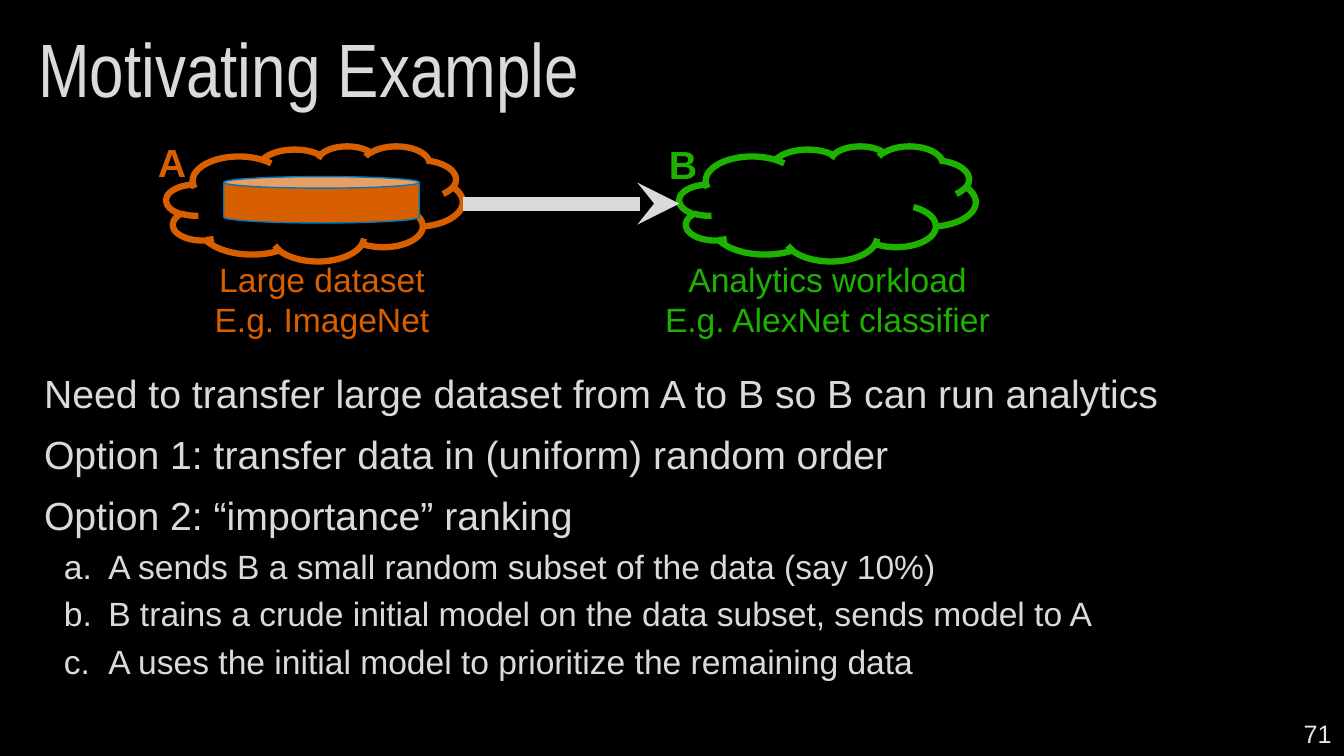
from lxml import etree
from pptx import Presentation
from pptx.dml.color import RGBColor
from pptx.enum.shapes import MSO_CONNECTOR, MSO_SHAPE
from pptx.enum.text import MSO_ANCHOR, PP_ALIGN
from pptx.oxml.ns import qn
from pptx.util import Cm, Pt

BLACK = RGBColor(0x00, 0x00, 0x00)
LIGHT = RGBColor(0xDA, 0xDA, 0xDA)
PALE = RGBColor(0xE4, 0xE4, 0xE4)
ORANGE = RGBColor(0xD7, 0x5F, 0x00)
GREEN = RGBColor(0x1D, 0xB1, 0x00)
BLUE = RGBColor(0x00, 0x78, 0xBD)
LEFT, CENTER, RIGHT = PP_ALIGN.LEFT, PP_ALIGN.CENTER, PP_ALIGN.RIGHT
TOP, MIDDLE = MSO_ANCHOR.TOP, MSO_ANCHOR.MIDDLE
CLOUD, CAN = MSO_SHAPE.CLOUD, MSO_SHAPE.CAN

presentation = Presentation()
presentation.slide_width = Cm(33.87)
presentation.slide_height = Cm(19.05)
slide = presentation.slides.add_slide(presentation.slide_layouts[6])
slide.background.fill.solid()
slide.background.fill.fore_color.rgb = BLACK


def add_text(box, text, size, color, font="Arial", bold=False,
             align=LEFT, anchor=TOP, wrap=True):
    left, top, width, height = (Cm(value) for value in box)
    frame = slide.shapes.add_textbox(left, top, width, height).text_frame
    frame.word_wrap = wrap
    frame.vertical_anchor = anchor
    frame.text = text
    for paragraph in frame.paragraphs:
        paragraph.alignment = align
        paragraph.font.size = Pt(size)
        paragraph.font.name = font
        paragraph.font.bold = bold
        paragraph.font.color.rgb = color
    return frame


def add_outline(kind, box, color, width):
    left, top, across, height = (Cm(value) for value in box)
    shape = slide.shapes.add_shape(kind, left, top, across, height)
    shape.shadow.inherit = False
    shape.fill.background()
    shape.line.color.rgb = color
    shape.line.width = Pt(width)
    return shape


# Title and slide number
title = add_text((0.71, 0, 32.51, 3.68), "Motivating Example", 54, LIGHT,
                 font="Arial Narrow", anchor=MIDDLE)
title.paragraphs[0].line_spacing = 0.9
add_text((26.19, 17.98, 7.62, 1.02), "71", 18, PALE, align=RIGHT, anchor=MIDDLE)

# Body: statements, then lettered steps
statements = [
    "Need to transfer large dataset from A to B so B can run analytics",
    "Option 1: transfer data in (uniform) random order",
    "Option 2: “importance” ranking",
]
steps = [
    "A sends B a small random subset of the data (say 10%)",
    "B trains a crude initial model on the data subset, sends model to A",
    "A uses the initial model to prioritize the remaining data",
]
body = add_text((0.58, 9.19, 32.72, 9.73), "\n".join(statements + steps), 28, LIGHT)
for index, paragraph in enumerate(body.paragraphs):
    is_step = index >= len(statements)
    paragraph.space_before = Pt(5 if is_step else 10)
    properties = paragraph._p.get_or_add_pPr()
    properties.set("marL", str(Cm(1.9 if is_step else 0.28)))
    if is_step:
        paragraph.level = 1
        paragraph.font.size = Pt(24)
        properties.set("indent", str(Cm(-1.12)))
        numbering = etree.Element(qn("a:buAutoNum"), type="alphaLcPeriod")
        properties.find(qn("a:spcBef")).addnext(numbering)

# Clouds of the two sites
CLOUD_TOP, CLOUD_WIDTH, CLOUD_HEIGHT = 3.68, 7.47, 2.9
CLOUD_LEFT_A, CLOUD_LEFT_B = 4.19, 17.12
for cloud_left, color in ((CLOUD_LEFT_A, ORANGE), (CLOUD_LEFT_B, GREEN)):
    add_outline(CLOUD, (cloud_left, CLOUD_TOP, CLOUD_WIDTH, CLOUD_HEIGHT), color, 4.5)

# Transfer arrow from A to B
arrow_y = Cm(CLOUD_TOP + CLOUD_HEIGHT / 2)
arrow = slide.shapes.add_connector(
    MSO_CONNECTOR.STRAIGHT, Cm(CLOUD_LEFT_A + CLOUD_WIDTH), arrow_y,
    Cm(CLOUD_LEFT_B), arrow_y)
arrow.line.color.rgb = LIGHT
arrow.line.width = Pt(10)
etree.SubElement(arrow.line._get_or_add_ln(), qn("a:tailEnd"), type="stealth")
etree.SubElement(arrow._element.spPr, qn("a:effectLst"))

# Dataset stored at A
dataset = add_outline(CAN, (5.64, 4.45, 4.93, 1.17), BLUE, 1)
dataset.fill.solid()
dataset.fill.fore_color.rgb = ORANGE

# Captions and letters (a vertical tab is a line break)
captions = [
    ((5.08, 6.4, 6.07, 2.31), "Large dataset\vE.g. ImageNet", 24, ORANGE, False),
    ((16.31, 6.4, 9.09, 2.31), "Analytics workload\vE.g. AlexNet classifier", 24, GREEN, False),
    ((3.73, 3.35, 1.19, 1.45), "A", 28, ORANGE, True),
    ((16.61, 3.4, 1.19, 1.45), "B", 28, GREEN, True),
]
for box, text, size, color, bold in captions:
    add_text(box, text, size, color, bold=bold, align=CENTER, wrap=False)

presentation.save("out.pptx")
